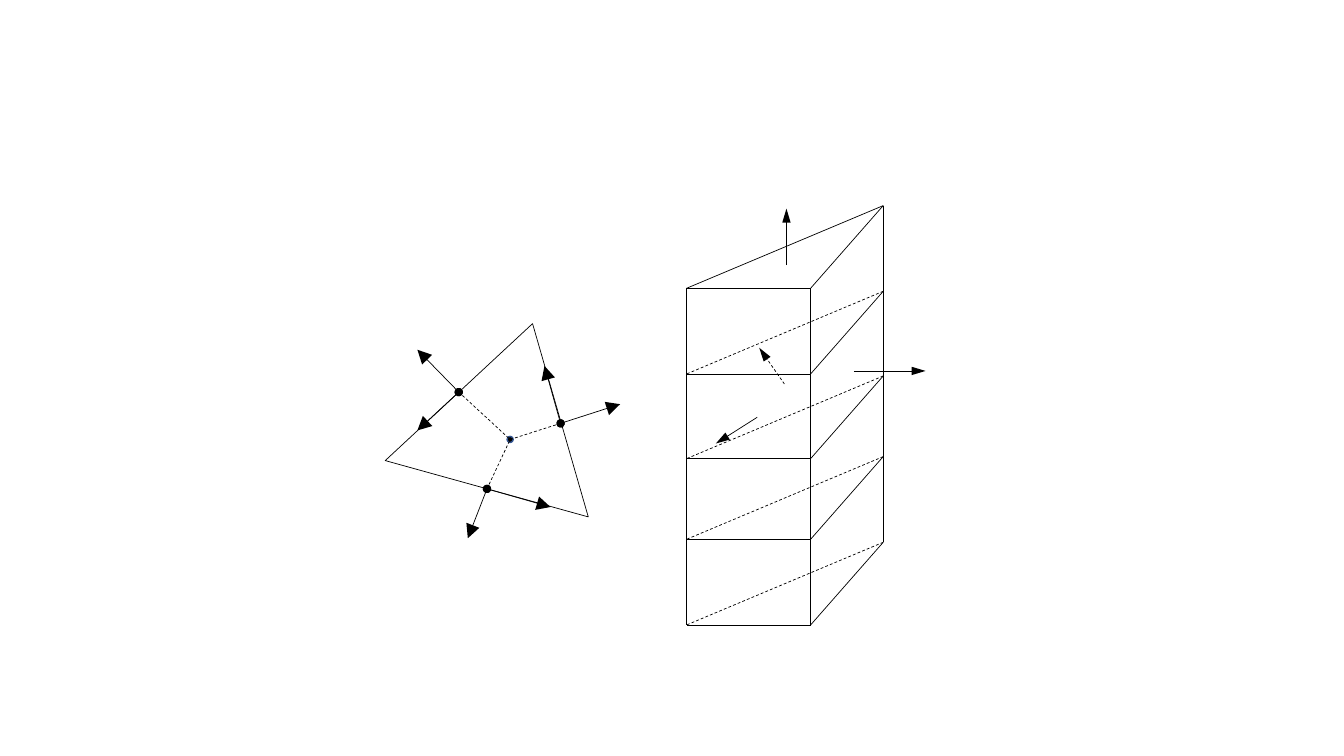
from pptx import Presentation
from pptx.dml.color import RGBColor
from pptx.enum.dml import MSO_LINE
from pptx.enum.shapes import MSO_CONNECTOR, MSO_SHAPE
from pptx.oxml.ns import qn
from pptx.util import Inches, Pt
from lxml.etree import SubElement

INK, CENTER_EDGE = "000000", "325491"

# Triangular cell, seen from above: (edge midpoint, outward normal tip, tangent tip)
CELL = (4.01, 3.18, 2.09, 1.7)
CELL_TURN = 15.5
CENTER, CENTER_SIZE = (5.06, 4.36), 0.06
EDGES = [
    ((5.56, 4.2), (6.15, 4.01), (5.4, 3.63)),
    ((4.55, 3.89), (4.14, 3.47), (4.14, 4.27)),
    ((4.83, 4.85), (4.64, 5.34), (5.46, 5.03)),
]

# Layered prism: front corners left and right, rear corner set back and up
LEFT, RIGHT, REAR = 6.81, 8.04, 8.76
REAR_RISE = 0.82
LEVELS = [2.86, 3.71, 4.55, 5.35, 6.2]
FACE_NORMALS = [
    ((8.47, 3.68), (9.18, 3.68), False),
    ((7.51, 4.14), (7.1, 4.4), False),
    ((7.78, 3.81), (7.53, 3.45), True),
    ((7.8, 2.63), (7.8, 2.07), False),
]

prs = Presentation()
prs.slide_width, prs.slide_height = Inches(13.33), Inches(7.5)
shapes = prs.slides.add_slide(prs.slide_layouts[6]).shapes


def color(hex_text):
    return RGBColor.from_string(hex_text)


def add_line(start, end, dashed=False, dot=False, head_width=None):
    """Thin line; dot marks its start, head_width puts an arrowhead at its end."""
    line = shapes.add_connector(
        MSO_CONNECTOR.STRAIGHT, *(Inches(v) for v in (*start, *end)))
    line.line.color.rgb = color(INK)
    line.line.width = Pt(0.5)
    if dashed:
        line.line.dash_style = MSO_LINE.DASH
    ln = line.line._get_or_add_ln()
    if dot:
        SubElement(ln, qn("a:headEnd"), type="oval", w="med", len="med")
    if head_width:
        SubElement(ln, qn("a:tailEnd"), type="triangle", w=head_width, len="lg")
    SubElement(line._element.spPr, qn("a:effectLst"))


def add_outline(kind, box, edge, width):
    shape = shapes.add_shape(kind, *(Inches(v) for v in box))
    shape.shadow.inherit = False
    shape.fill.background()
    shape.line.color.rgb = color(edge)
    shape.line.width = Pt(width)
    return shape


cell = add_outline(MSO_SHAPE.ISOSCELES_TRIANGLE, CELL, INK, 0.5)
cell.rotation = CELL_TURN
center_corner = [v - CENTER_SIZE / 2 for v in CENTER]
center = add_outline(
    MSO_SHAPE.OVAL, (*center_corner, CENTER_SIZE, CENTER_SIZE), CENTER_EDGE, 1)
center.fill.solid()
center.fill.fore_color.rgb = color(INK)

for midpoint, normal_tip, tangent_tip in EDGES:
    add_line(midpoint, CENTER, dashed=True)
    for tip in (normal_tip, tangent_tip):
        add_line(midpoint, tip, dot=True, head_width="lg")

top, bottom = LEVELS[0], LEVELS[-1]
for x, rise in ((LEFT, 0), (RIGHT, 0), (REAR, REAR_RISE)):
    add_line((x, top - rise), (x, bottom - rise))
for level in LEVELS:
    left, right, rear = (LEFT, level), (RIGHT, level), (REAR, level - REAR_RISE)
    add_line(rear, left, dashed=level != top)
    add_line(right, left)
    add_line(right, rear)

for start, tip, hidden in FACE_NORMALS:
    add_line(start, tip, dashed=hidden, head_width="med")

prs.save("out.pptx")
